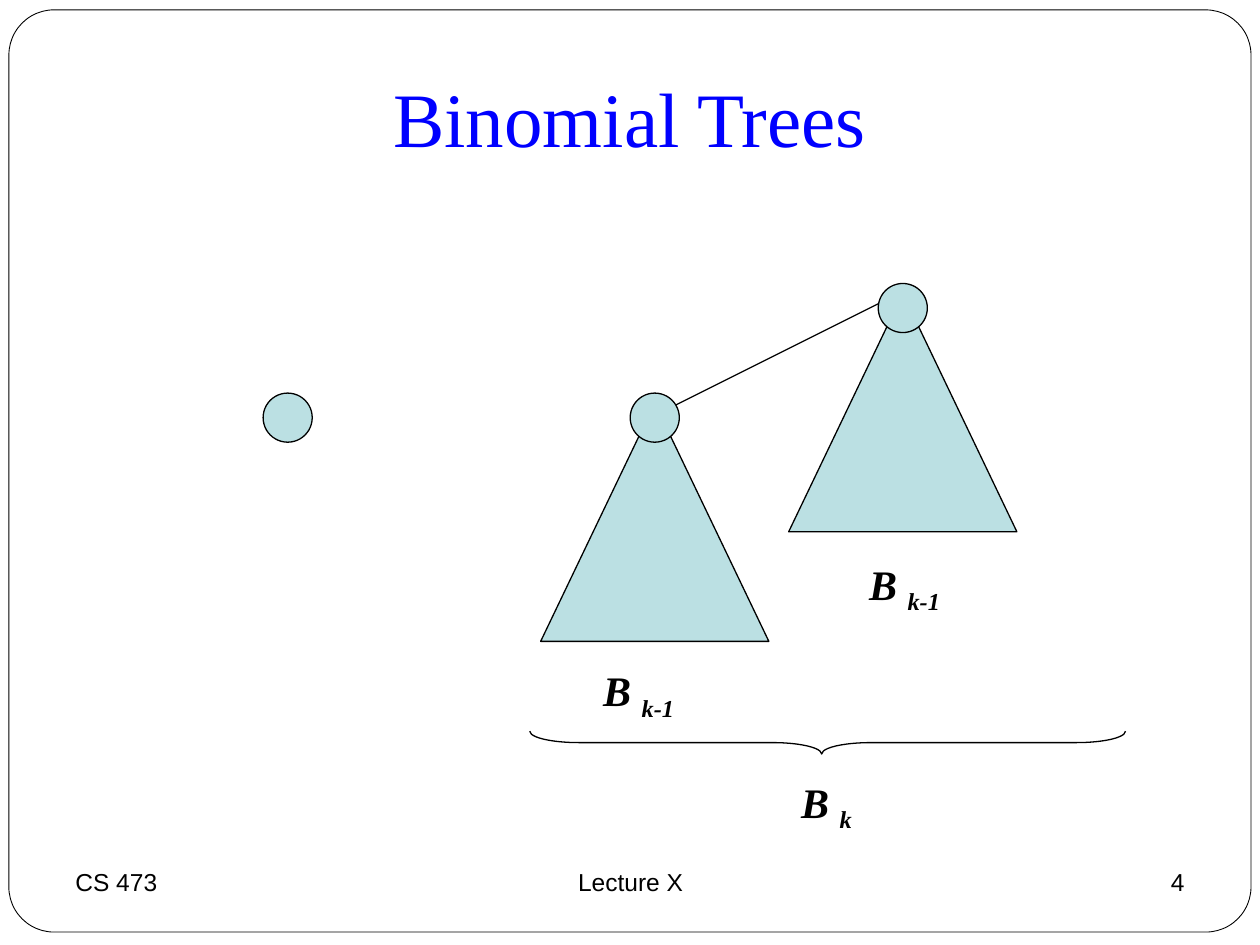
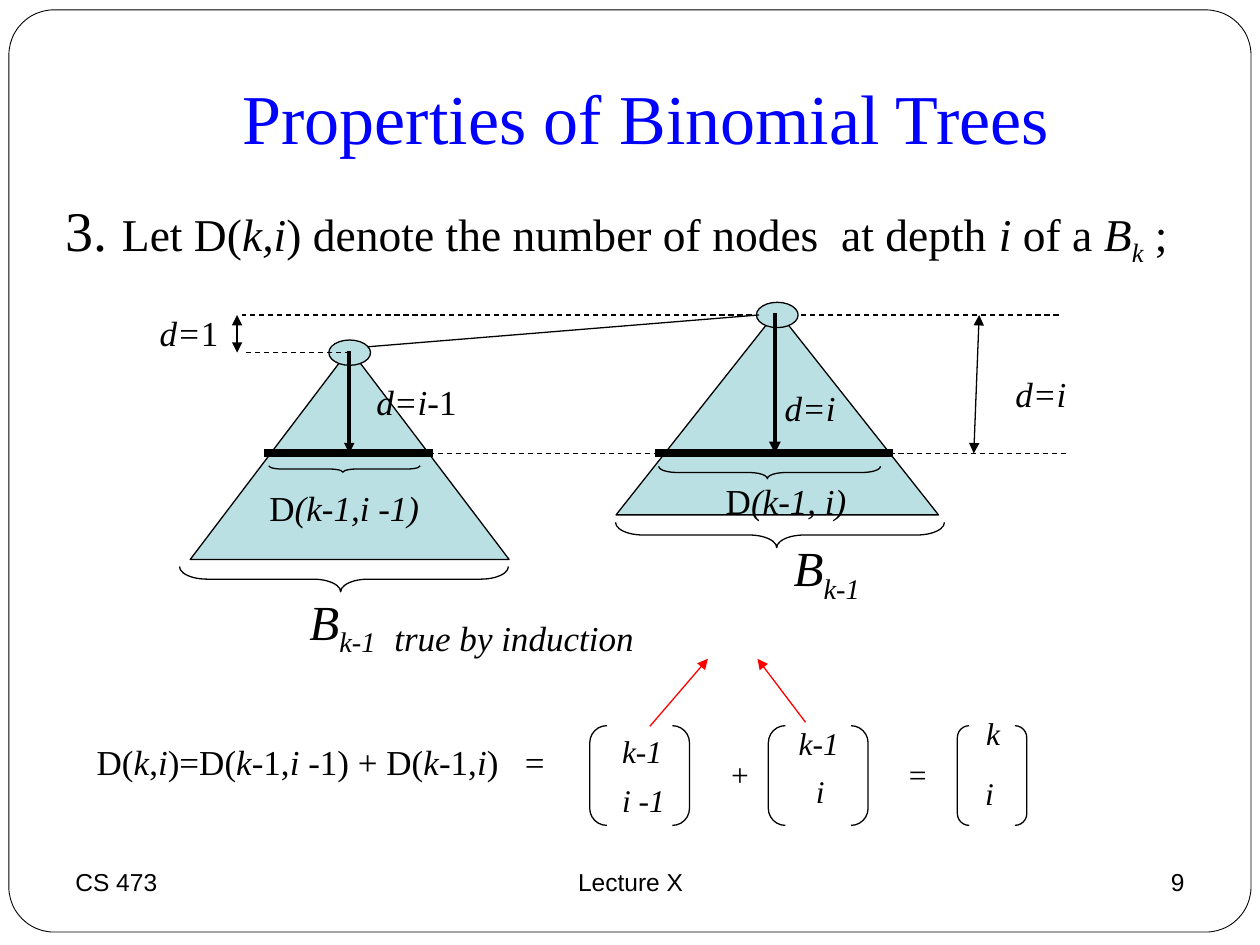
from pptx import Presentation
from pptx.dml.color import RGBColor
from pptx.enum.dml import MSO_LINE
from pptx.enum.shapes import MSO_CONNECTOR, MSO_SHAPE
from pptx.enum.text import MSO_ANCHOR, MSO_AUTO_SIZE, PP_ALIGN
from pptx.oxml.ns import qn
from pptx.util import Cm, Pt
from lxml import etree

COLORS = {"ink": "000000", "paper": "FFFFFF", "title": "0000FF",
          "tree": "BBE0E3", "accent": "FF0000"}
SERIF, SANS = "Times New Roman", "Arial"
THIN, MEDIUM, THICK = 0.74, 2.24, 4.51
LEFT, CENTER, RIGHT = PP_ALIGN.LEFT, PP_ALIGN.CENTER, PP_ALIGN.RIGHT
MIDDLE, TOP = MSO_ANCHOR.MIDDLE, MSO_ANCHOR.TOP
GROW, FIXED = MSO_AUTO_SIZE.SHAPE_TO_FIT_TEXT, MSO_AUTO_SIZE.NONE
STRAIGHT, DASH = MSO_CONNECTOR.STRAIGHT, MSO_LINE.DASH
ROUNDED, OVAL = MSO_SHAPE.ROUNDED_RECTANGLE, MSO_SHAPE.OVAL
TRIANGLE, BRACE = MSO_SHAPE.ISOSCELES_TRIANGLE, MSO_SHAPE.LEFT_BRACE
BRACKETS = MSO_SHAPE.DOUBLE_BRACKET


def color(name):
    """Look up a palette colour."""
    return RGBColor.from_string(COLORS[name])


def add_spans(para, spans, size, font=SERIF, ink="ink"):
    """Add (text, style) runs; style letters: b bold, i italic, _ subscript."""
    for text, style in spans:
        span = para.add_run()
        span.text = text
        span.font.name = font
        span.font.size = Pt(size)
        span.font.bold = "b" in style
        span.font.italic = "i" in style
        span.font.color.rgb = color(ink)
        if "_" in style:
            span.font._element.set("baseline", "-25000")


def add_text(page, left, top, width, height, spans, size, font=SERIF,
             ink="ink", align=LEFT, anchor=TOP, wrap=True, fit=FIXED):
    """Add a text box with one paragraph and return that paragraph."""
    box = page.shapes.add_textbox(Cm(left), Cm(top), Cm(width), Cm(height))
    frame = box.text_frame
    frame.word_wrap = wrap
    frame.auto_size = fit
    frame.vertical_anchor = anchor
    para = frame.paragraphs[0]
    para.alignment = align
    add_spans(para, spans, size, font, ink)
    return para


def add_label(page, left, top, width, spans, size=20, wrap=False):
    """Add a one-line label whose box fits its text."""
    height = {18: 1.02, 20: 1.12, 24: 1.42, 28: 1.6}[size]
    return add_text(page, left, top, width, height, spans, size,
                    wrap=wrap, fit=GROW)


def add_figure(page, kind, left, top, width, height, fill=None,
               weight=THIN, adjust=()):
    """Add an outlined preset shape."""
    shape = page.shapes.add_shape(kind, Cm(left), Cm(top), Cm(width), Cm(height))
    shape.shadow.inherit = False
    if fill:
        shape.fill.solid()
        shape.fill.fore_color.rgb = color(fill)
    else:
        shape.fill.background()
    shape.line.color.rgb = color("ink")
    shape.line.width = Pt(weight)
    for index, value in enumerate(adjust):
        shape.adjustments[index] = value
    return shape


def add_node(page, x, y, width, height):
    """Add a tree node centred on x, y."""
    add_figure(page, OVAL, x - width / 2, y - height / 2, width, height, "tree")


def add_tree(page, x, y, width, height, node, rise):
    """Add a subtree: a triangle whose apex lies rise above the root centre."""
    add_figure(page, TRIANGLE, x - width / 2, y - rise, width, height, "tree")
    add_node(page, x, y, *node)


def add_brace(page, left, top, width, height, curl):
    """Add a horizontal brace that points down."""
    shift = (width - height) / 2
    brace = add_figure(page, BRACE, left + shift, top - shift, height, width,
                       adjust=(curl, 0.49))
    brace.rotation = 270


def add_line(page, x1, y1, x2, y2, weight=THIN, ink="ink", dashed=False, arrows=()):
    """Add a straight line; arrows names the ends that carry a triangle."""
    line = page.shapes.add_connector(STRAIGHT, Cm(x1), Cm(y1), Cm(x2), Cm(y2))
    line.line.color.rgb = color(ink)
    line.line.width = Pt(weight)
    outline = line.line._get_or_add_ln()
    if dashed:
        line.line.dash_style = DASH
    else:
        outline.set("cap", "sq")
    for end in arrows:
        etree.SubElement(outline, qn("a:" + end), type="triangle")
    etree.SubElement(line._element.spPr, qn("a:effectLst"))


def add_page(deck, title, number, size, width):
    """Add a slide with the shared frame, footers and title."""
    page = deck.slides.add_slide(deck.slide_layouts[6])
    add_figure(page, ROUNDED, 0.18, 0.2, 25.04, 18.59, "paper", 0.5, (0.049,))
    footers = [(1.27, 5.92, "CS 473", LEFT), (8.69, 8.05, "Lecture X", CENTER),
               (18.21, 5.92, number, RIGHT)]
    for left, breadth, text, align in footers:
        add_text(page, left, 17.35, breadth, 1.32, [(text, "")], 14, SANS,
                 align=align)
    add_text(page, 1.27, 0.76, width, 3.18, [(title, "")], size, ink="title",
             align=CENTER, anchor=MIDDLE)
    return page


def build_definition(deck):
    """Show B0 and how Bk joins two smaller trees."""
    page = add_page(deck, "Binomial Trees", "4", 44, 22.86)
    node = (0.99, 0.99)
    add_node(page, 5.8, 8.42, *node)
    add_line(page, 13.49, 8.23, 17.91, 6.02)
    for x, y in [(13.2, 8.42), (18.2, 6.21)]:
        add_tree(page, x, y, 4.6, 4.8, node, 0.29)
    for left, top in [(11.91, 13.28), (17.27, 11.13)]:
        add_label(page, left, top, 1.93, [("B ", "bi"), ("k-1", "bi_")], 24)
    add_brace(page, 10.68, 14.74, 12.01, 0.46, 2.14)
    add_label(page, 15.9, 15.52, 1.88, [("B ", "bi"), ("k", "bi_")], 24, wrap=True)


def add_statement(page):
    """Add the numbered property and the remark far below it."""
    para = add_text(page, 1.05, 3.81, 22.9, 12.57, [("3. ", "")], 32)
    add_spans(para, [("Let D(", ""), ("k,i", "i"),
                     (") denote the number of nodes  at depth ", ""), ("i ", "i"),
                     ("of a ", ""), ("B", "i"), ("k", "i_"), (" ;", "")], 26)
    para.space_before = Pt(6.5)
    indent = para._p.get_or_add_pPr()
    indent.set("marL", str(Cm(0.97)))
    indent.set("indent", str(Cm(-0.94)))
    remark = para._parent.add_paragraph()
    remark._p.get_or_add_pPr().set("marL", str(Cm(6.65)))
    remark.space_before = Pt(199)
    add_spans(remark, [("true by induction", "i")], 20)


def add_depth_diagram(page):
    """Draw the two subtrees with the level at depth i marked in both."""
    root, child, level = 6.35, 7.11, 9.14
    node = (0.84, 0.51)
    both = ("headEnd", "tailEnd")
    add_line(page, 21.34, root, 4.88, root, dashed=True)
    add_tree(page, 7.05, child, 6.43, 4.24, node, 0.07)
    add_tree(page, 15.67, root, 6.5, 4.11, node, 0.08)
    add_line(page, 7.42, 6.99, 15.29, root)
    add_line(page, 7.06, child, 4.9, child, dashed=True)
    for start, end in [(5.41, 8.64), (13.28, 17.93)]:
        add_line(page, start, level, end, level, THICK)
    for start, end in [(8.64, 13.28), (17.93, 21.51)]:
        add_line(page, start, level, end, level, dashed=True)
    add_line(page, 19.74, root, 19.63, level, arrows=both)
    add_line(page, 4.78, root, 4.78, child, arrows=both)
    add_line(page, 7.04, child, 7.04, level, MEDIUM)
    add_line(page, 7.04, 7.24, 7.04, level, arrows=("tailEnd",))
    add_line(page, 15.62, root, 15.62, level, MEDIUM, arrows=("tailEnd",))
    for brace in [(3.62, 11.42, 6.63, 0.51, 1.09), (12.41, 10.53, 6.63, 0.51, 1.09),
                  (5.42, 9.39, 3.05, 0.13, 2.06), (13.28, 9.4, 4.47, 0.25, 1.46)]:
        add_brace(page, *brace)
    for left, top, width, spans in [
            (2.97, 6.15, 1.75, [("d=", "i"), ("1", "")]),
            (20.22, 7.39, 1.65, [("d=i", "i")]),
            (7.34, 7.54, 2.2, [("d=i-", "i"), ("1", "")]),
            (15.57, 7.67, 1.65, [("d=i", "i")]),
            (5.18, 9.68, 3.6, [("D", ""), ("(k-1,i -1)", "i")]),
            (14.38, 9.55, 3.0, [("D", ""), ("(k-1, i)", "i")])]:
        add_label(page, left, top, width, spans)
    for left, top in [(5.99, 11.79), (15.75, 10.72)]:
        add_label(page, left, top, 2.15, [("B", "i"), ("k-1", "i_")], 28, wrap=True)


def add_recurrence(page):
    """Write the recurrence and its binomial coefficients."""
    para = add_label(page, 1.7, 14.81, 10.01, [
        ("D(", ""), ("k", "i"), (",", ""), ("i", "i"), (")=D(", ""), ("k", "i"),
        ("-1,", ""), ("i ", "i"), ("-1) + D(", ""), ("k", "i"), ("-1,", ""),
        ("i", "i"), (")\t=", "")], wrap=True)
    tabs = etree.SubElement(para._p.get_or_add_pPr(), qn("a:tabLst"))
    etree.SubElement(tabs, qn("a:tab"), pos=str(Cm(8.63)), algn="l")
    for left, width in [(11.89, 2.01), (15.49, 2.01), (19.3, 1.4)]:
        add_figure(page, BRACKETS, left, 14.63, width, 2.01, adjust=(0.171,))
    for left, top, width, text in [
            (12.29, 14.63, 1.35, "k-1"), (12.29, 15.62, 1.4, "i -1"),
            (14.45, 15.09, 0.94, "+"),
            (15.85, 14.48, 1.35, "k-1"), (16.2, 15.44, 0.75, "i"),
            (18.03, 15.09, 0.94, "="),
            (19.63, 14.27, 0.82, "k"), (19.61, 15.47, 0.75, "i")]:
        add_label(page, left, top, width, [(text, "i")], 18)
    for start, top, end in [(13.11, 14.63, 14.27), (16.23, 14.55, 15.27)]:
        add_line(page, start, top, end, 13.28, ink="accent", arrows=("tailEnd",))


def build_property(deck):
    """Show the inductive count of nodes at depth i."""
    page = add_page(deck, "Properties of Binomial Trees", "9", 40, 23.5)
    add_statement(page)
    add_depth_diagram(page)
    add_recurrence(page)


def main():
    """Build and save the deck."""
    deck = Presentation()
    deck.slide_width, deck.slide_height = Cm(25.4), Cm(19.05)
    build_definition(deck)
    build_property(deck)
    deck.save("out.pptx")


main()
